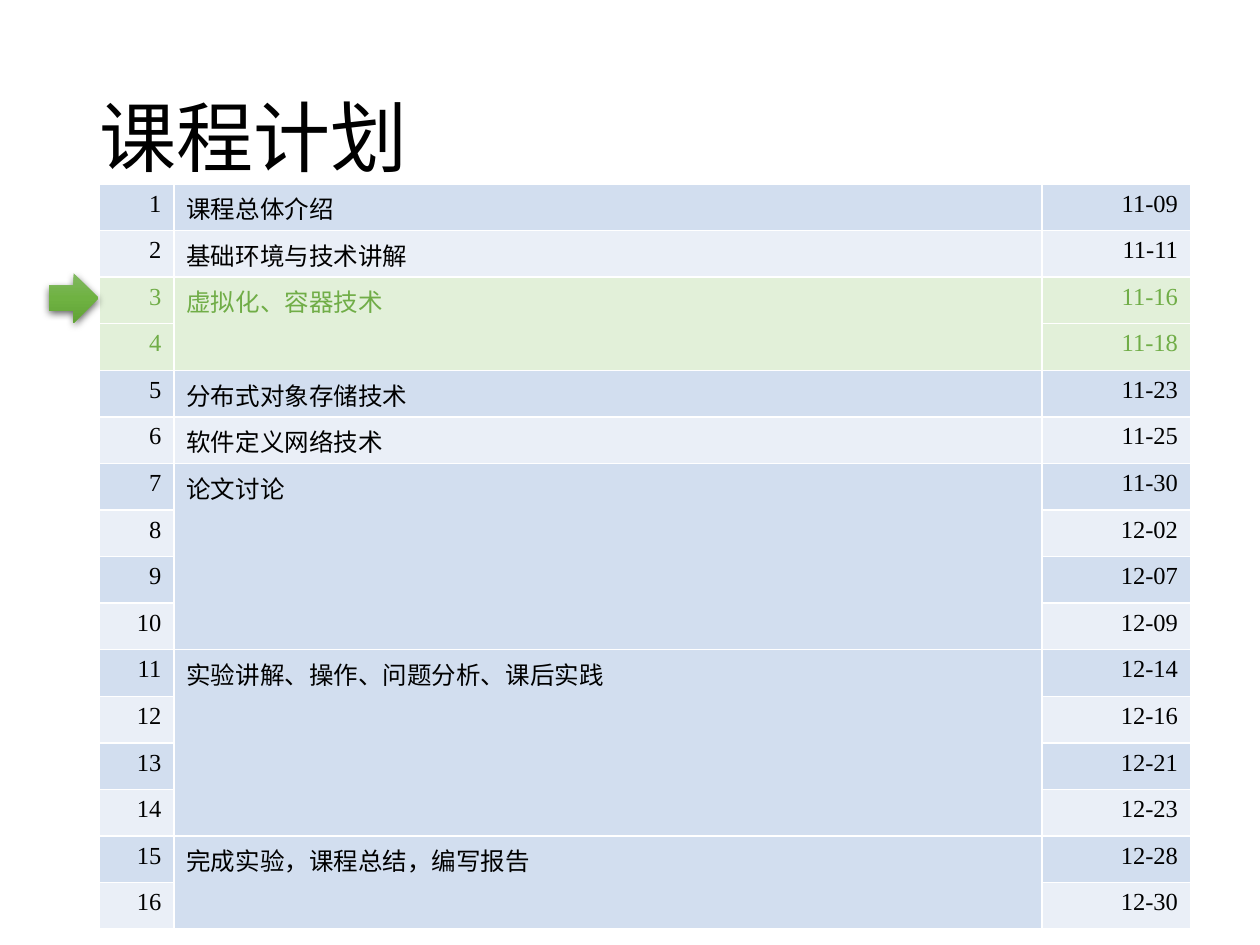
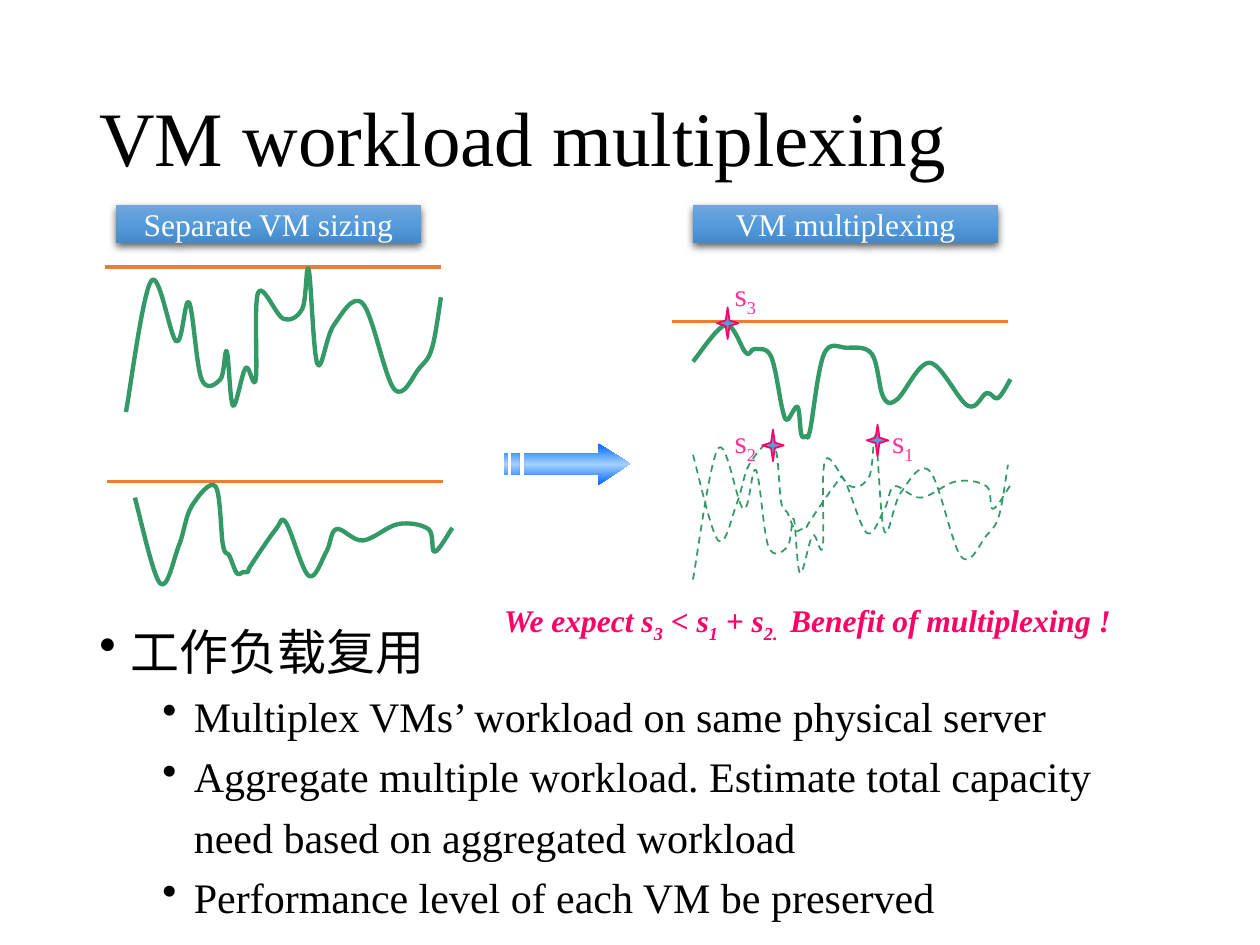
from dataclasses import dataclass
from typing import NamedTuple

from lxml.etree import SubElement
from pptx import Presentation
from pptx.dml.color import RGBColor
from pptx.enum.dml import MSO_LINE
from pptx.enum.shapes import MSO_CONNECTOR, MSO_SHAPE as SHAPE
from pptx.enum.text import MSO_ANCHOR as ANCHOR, PP_ALIGN as ALIGN
from pptx.oxml.ns import qn
from pptx.util import Emu, Pt

PX = 9144
FONT = "Times New Roman"
BLACK, WHITE, GREEN = "000000", "FFFFFF", "70AD47"
BLUE, ORANGE, CURVE_GREEN = "5B9BD5", "ED7D31", "339966"
PINK, HOT_PINK = "FF3399", "FF0066"
ODD_ROW, EVEN_ROW, CURRENT_ROW = "D2DEEF", "EAEFF7", "E2F0D9"
BLUE_GRADIENT = ("71A6DB", "559BDB", "448ACA")
GREEN_GRADIENT = ("81B861", "6FB242", "62A336")
ARROW_GRADIENT = ("0066FF", "A3D1FF", "0066FF")


class Box(NamedTuple):
    left: int
    top: int
    width: int
    height: int


class Point(NamedTuple):
    x: int
    y: int


@dataclass(frozen=True)
class Style:
    size: int
    color: str = BLACK
    align: ALIGN = ALIGN.LEFT
    bold: bool = False
    italic: bool = False
    spacing: float = 1.0


@dataclass(frozen=True)
class Workload:
    knots: tuple[Point, ...]
    shift: Point = Point(0, 0)
    width: float = 2.5
    dashed: bool = False


class Topic(NamedTuple):
    name: str
    dates: tuple[str, ...]
    current: bool = False


class Peak(NamedTuple):
    number: str
    star: Point
    label: Point


TITLE_BOX = Box(69, 40, 862, 145)
TITLE = Style(44, spacing=0.9)

TOPICS = (
    Topic("课程总体介绍", ("11-09",)),
    Topic("基础环境与技术讲解", ("11-11",)),
    Topic("虚拟化、容器技术", ("11-16", "11-18"), True),
    Topic("分布式对象存储技术", ("11-23",)),
    Topic("软件定义网络技术", ("11-25",)),
    Topic("论文讨论", ("11-30", "12-02", "12-07", "12-09")),
    Topic("实验讲解、操作、问题分析、课后实践", ("12-14", "12-16", "12-21", "12-23")),
    Topic("完成实验，课程总结，编写报告", ("12-28", "12-30")),
)
COLUMNS = (59, 689, 118)
ROW_HEIGHT = 37

HEADINGS = (("Separate VM sizing", Box(92, 163, 242, 30)),
            ("VM multiplexing", Box(550, 163, 242, 30)))
CAPACITY_LINES = (Point(83, 212), Point(85, 382), Point(533, 255))
CAPACITY_WIDTH = 267

FIRST_VM = tuple(Point(*knot) for knot in (
    (100, 327), (120, 223), (140, 271), (150, 240), (160, 301), (175, 301),
    (180, 279), (185, 322), (195, 292), (203, 301), (205, 232), (225, 253),
    (240, 245), (245, 214), (252, 289), (265, 258), (288, 241), (313, 309),
    (333, 292), (343, 276), (350, 236)))
SECOND_VM = tuple(Point(*knot) for knot in (
    (107, 395), (127, 463), (142, 433), (152, 402), (171, 386), (177, 433),
    (182, 441), (188, 455), (193, 454), (197, 454), (199, 449), (219, 420),
    (227, 415), (245, 457), (259, 438), (267, 420), (288, 429), (316, 416),
    (340, 420), (345, 438), (359, 419)))
COMBINED = tuple(Point(*knot) for knot in (
    (550, 287), (576, 258), (592, 280), (599, 277), (612, 283), (621, 325),
    (625, 333), (633, 323), (636, 345), (640, 346), (643, 341), (654, 281),
    (672, 276), (692, 281), (701, 315), (712, 317), (738, 288), (768, 322),
    (783, 312), (792, 316), (802, 301)))
WORKLOADS = (
    Workload(FIRST_VM),
    Workload(SECOND_VM),
    Workload(COMBINED),
    Workload(FIRST_VM, Point(450, 133), 1, True),
    Workload(SECOND_VM, Point(443, -34), 1, True),
)
PEAKS = (
    Peak("1", Point(688, 337), Point(708, 335)),
    Peak("2", Point(605, 341), Point(583, 335)),
    Peak("3", Point(569, 244), Point(583, 218)),
)
ARROW_HEAD = ((475, 352), (475, 360), (416, 360), (416, 377),
              (475, 377), (475, 385), (500, 368))
ARROW_BARS = ((406, 412), (400, 403))
BENEFIT = ("We expect s", "3", " < s", "1", " + s", "2. ", " Benefit of multiplexing !")
POINTS = (
    "Multiplex VMs’ workload on same physical server",
    "Aggregate multiple workload. Estimate total capacity need based on aggregated workload",
    "Performance level of each VM be preserved",
)


def px(length: int) -> Emu:
    return Emu(length * PX)


def rgb(color: str) -> RGBColor:
    return RGBColor.from_string(color)


def write(paragraph, style: Style, *runs: str) -> None:
    """Write runs into a paragraph, every second one as a subscript."""
    paragraph.alignment = style.align
    paragraph.line_spacing = style.spacing
    paragraph.space_before = Pt(0)
    font = paragraph.font
    font.name, font.size = FONT, Pt(style.size)
    font.bold, font.italic = style.bold, style.italic
    font.color.rgb = rgb(style.color)
    for index, text in enumerate(runs):
        run = paragraph.add_run()
        run.text = text
        if index % 2:
            run._r.get_or_add_rPr().set("baseline", "-25000")


def clear_insets(frame) -> None:
    frame.margin_left = frame.margin_right = frame.margin_top = frame.margin_bottom = 0


def add_text(slide, box: Box, style: Style, *runs: str, wrap: bool = True, inset: bool = False):
    frame = slide.shapes.add_textbox(*map(px, box)).text_frame
    frame.word_wrap = wrap
    if not inset:
        clear_insets(frame)
    write(frame.paragraphs[0], style, *runs)
    return frame


def add_title(slide, text: str) -> None:
    add_text(slide, TITLE_BOX, TITLE, text, inset=True).vertical_anchor = ANCHOR.MIDDLE


def add_shape(slide, kind: SHAPE, box: Box):
    shape = slide.shapes.add_shape(kind, *map(px, box))
    shape.shadow.inherit = False
    shape.line.fill.background()
    return shape


def fill_gradient(shape, colors: tuple[str, ...]) -> None:
    """Fill a shape from top to bottom with evenly spaced colours."""
    shape.fill.gradient()
    shape.fill.gradient_angle = 270
    stops = next(shape._element.iter(qn("a:gsLst")))
    for stop in list(stops):
        stops.remove(stop)
    for index, color in enumerate(colors):
        position = index * 100000 // (len(colors) - 1)
        stop = SubElement(stops, qn("a:gs"), pos=str(position))
        SubElement(stop, qn("a:srgbClr"), val=color)


def drop_shadow(shape) -> None:
    effects = shape._element.spPr.find(qn("a:effectLst"))
    shadow = SubElement(effects, qn("a:outerShdw"), blurRad=str(Pt(4.5)),
                        dist=str(Pt(1.5)), dir="5400000", algn="ctr", rotWithShape="0")
    black = SubElement(shadow, qn("a:srgbClr"), val=BLACK)
    SubElement(black, qn("a:alpha"), val="63000")


def add_raised(slide, kind: SHAPE, box: Box, colors: tuple[str, ...]):
    shape = add_shape(slide, kind, box)
    fill_gradient(shape, colors)
    drop_shadow(shape)
    return shape


def add_heading(slide, text: str, box: Box) -> None:
    frame = add_raised(slide, SHAPE.RECTANGLE, box, BLUE_GRADIENT).text_frame
    clear_insets(frame)
    write(frame.paragraphs[0], Style(18, WHITE, ALIGN.CENTER), text)


def add_capacity_line(slide, start: Point) -> None:
    line = slide.shapes.add_connector(MSO_CONNECTOR.STRAIGHT, px(start.x), px(start.y),
                                      px(start.x + CAPACITY_WIDTH), px(start.y))
    line.line.color.rgb = rgb(ORANGE)
    line.line.width = Pt(2)
    SubElement(line._element.spPr, qn("a:effectLst"))


def smooth(shape) -> None:
    """Turn the straight segments of a freeform into a curve through its knots."""
    knots = [(int(p.get("x")), int(p.get("y"))) for p in shape._element.iter(qn("a:pt"))]
    padded = [knots[0], *knots, knots[-1]]
    slopes = [((c[0] - a[0]) / 6, (c[1] - a[1]) / 6) for a, c in zip(padded, padded[2:])]
    for index, segment in enumerate(list(shape._element.iter(qn("a:lnTo")))):
        (x1, y1), (x2, y2) = knots[index:index + 2]
        (dx1, dy1), (dx2, dy2) = slopes[index:index + 2]
        curve = segment.makeelement(qn("a:cubicBezTo"))
        for x, y in ((x1 + dx1, y1 + dy1), (x2 - dx2, y2 - dy2), (x2, y2)):
            SubElement(curve, qn("a:pt"), x=str(round(x)), y=str(round(y)))
        segment.getparent().replace(segment, curve)


def add_workload(slide, workload: Workload) -> None:
    start, *rest = [(px(knot.x + workload.shift.x), px(knot.y + workload.shift.y))
                    for knot in workload.knots]
    builder = slide.shapes.build_freeform(*start)
    builder.add_line_segments(rest, close=False)
    shape = builder.convert_to_shape()
    smooth(shape)
    shape.shadow.inherit = False
    shape.fill.background()
    shape.line.color.rgb = rgb(CURVE_GREEN)
    shape.line.width = Pt(workload.width)
    if workload.dashed:
        shape.line.dash_style = MSO_LINE.DASH


def add_striped_arrow(slide) -> None:
    builder = slide.shapes.build_freeform(*ARROW_HEAD[0], scale=PX)
    builder.add_line_segments(ARROW_HEAD[1:])
    for left, right in ARROW_BARS:
        builder.move_to(left, 360)
        builder.add_line_segments(((left, 377), (right, 377), (right, 360)))
    arrow = builder.convert_to_shape()
    arrow.shadow.inherit = False
    arrow.line.fill.background()
    fill_gradient(arrow, ARROW_GRADIENT)


def add_peak(slide, peak: Peak) -> None:
    star = add_shape(slide, SHAPE.STAR_4_POINT, Box(*peak.star, 17, 25))
    star.adjustments[0] = 0.125
    star.fill.solid()
    star.fill.fore_color.rgb = rgb(BLUE)
    star.line.color.rgb = rgb(HOT_PINK)
    star.line.width = Pt(1)
    add_text(slide, Box(*peak.label, 22, 30), Style(18, PINK), "s", peak.number, wrap=False)


def add_bullet(paragraph, text: str, size: int, margin: int) -> None:
    write(paragraph, Style(size, spacing=1.2), text)
    properties = paragraph._p.get_or_add_pPr()
    properties.set("marL", str(px(margin)))
    properties.set("indent", str(px(-25)))
    bullet = properties.makeelement(qn("a:buChar"), char="•")
    properties.find(qn("a:defRPr")).addprevious(bullet)


def add_schedule(slide) -> None:
    rows = [(topic, date) for topic in TOPICS for date in topic.dates]
    box = Box(79, 146, sum(COLUMNS), ROW_HEIGHT * len(rows))
    table = slide.shapes.add_table(len(rows), len(COLUMNS), *map(px, box)).table
    table.first_row = table.horz_banding = False
    for column, width in zip(table.columns, COLUMNS):
        column.width = px(width)
    for index, (topic, date) in enumerate(rows):
        fill = CURRENT_ROW if topic.current else (ODD_ROW, EVEN_ROW)[index % 2]
        color = GREEN if topic.current else BLACK
        first = date == topic.dates[0]
        texts = (str(index + 1), topic.name if first else "", date)
        for column, text in enumerate(texts):
            cell = table.cell(index, column)
            cell.fill.solid()
            cell.fill.fore_color.rgb = rgb(fill)
            align = ALIGN.LEFT if column == 1 else ALIGN.RIGHT
            write(cell.text_frame.paragraphs[0], Style(14, color, align), *filter(None, (text,)))
        if first and len(topic.dates) > 1:
            table.cell(index, 1).merge(table.cell(index + len(topic.dates) - 1, 1))


def build_plan(slide) -> None:
    add_title(slide, "课程计划")
    add_schedule(slide)
    add_raised(slide, SHAPE.RIGHT_ARROW, Box(39, 217, 39, 39), GREEN_GRADIENT)


def build_multiplexing(slide) -> None:
    add_title(slide, "VM workload multiplexing")
    for text, box in HEADINGS:
        add_heading(slide, text, box)
    for start in CAPACITY_LINES:
        add_capacity_line(slide, start)
    for workload in WORKLOADS:
        add_workload(slide, workload)
    add_striped_arrow(slide)
    for peak in PEAKS:
        add_peak(slide, peak)
    add_text(slide, Box(400, 477, 575, 30), Style(18, HOT_PINK, bold=True, italic=True), *BENEFIT)
    body = add_text(slide, Box(69, 479, 862, 264), Style(28), inset=True)
    add_bullet(body.paragraphs[0], "工作负载复用", 28, 25)
    for text in POINTS:
        add_bullet(body.add_paragraph(), text, 24, 75)


def main() -> None:
    presentation = Presentation()
    presentation.slide_width, presentation.slide_height = px(1000), px(750)
    for build in (build_plan, build_multiplexing):
        build(presentation.slides.add_slide(presentation.slide_layouts[6]))
    presentation.save("out.pptx")


if __name__ == "__main__":
    main()
